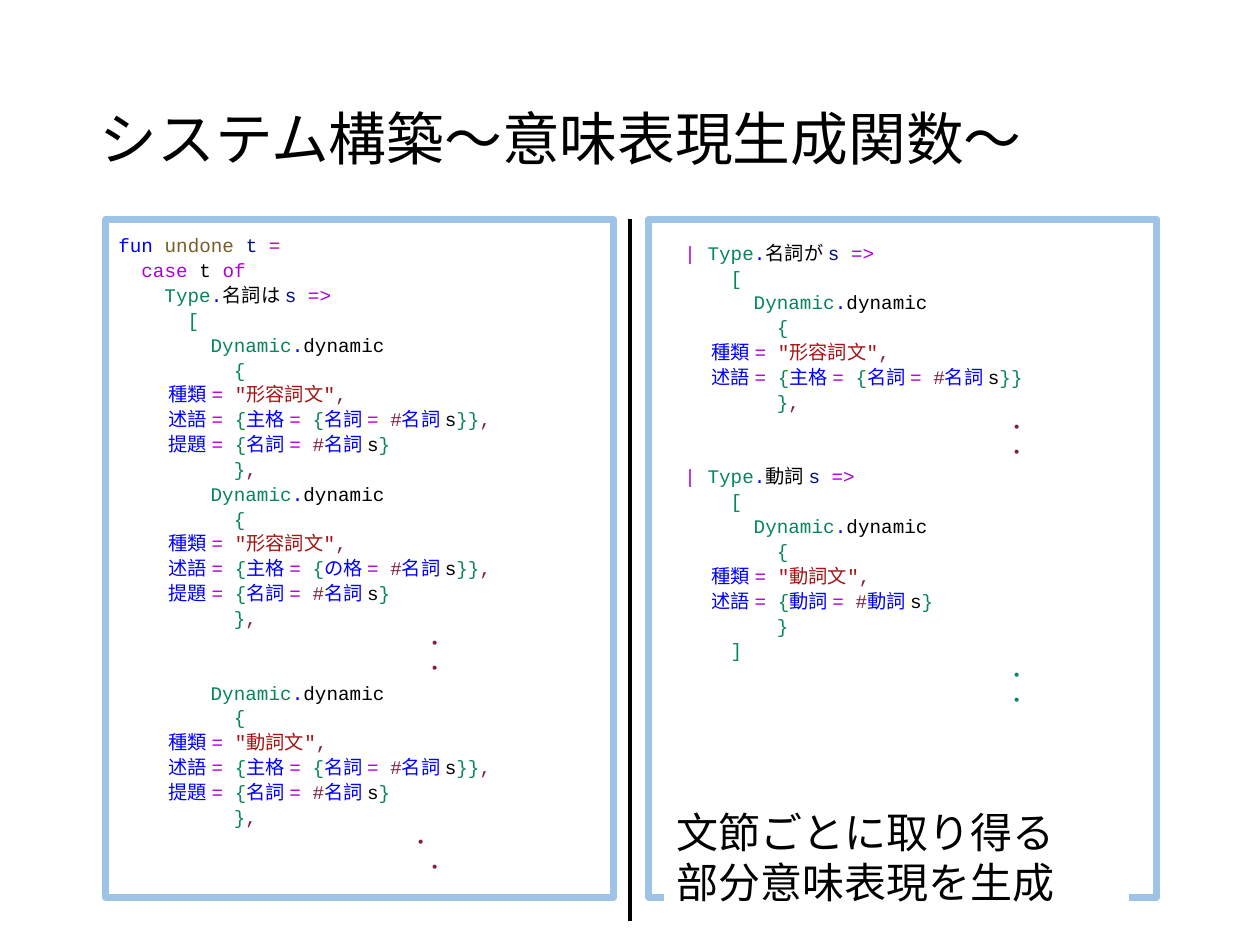
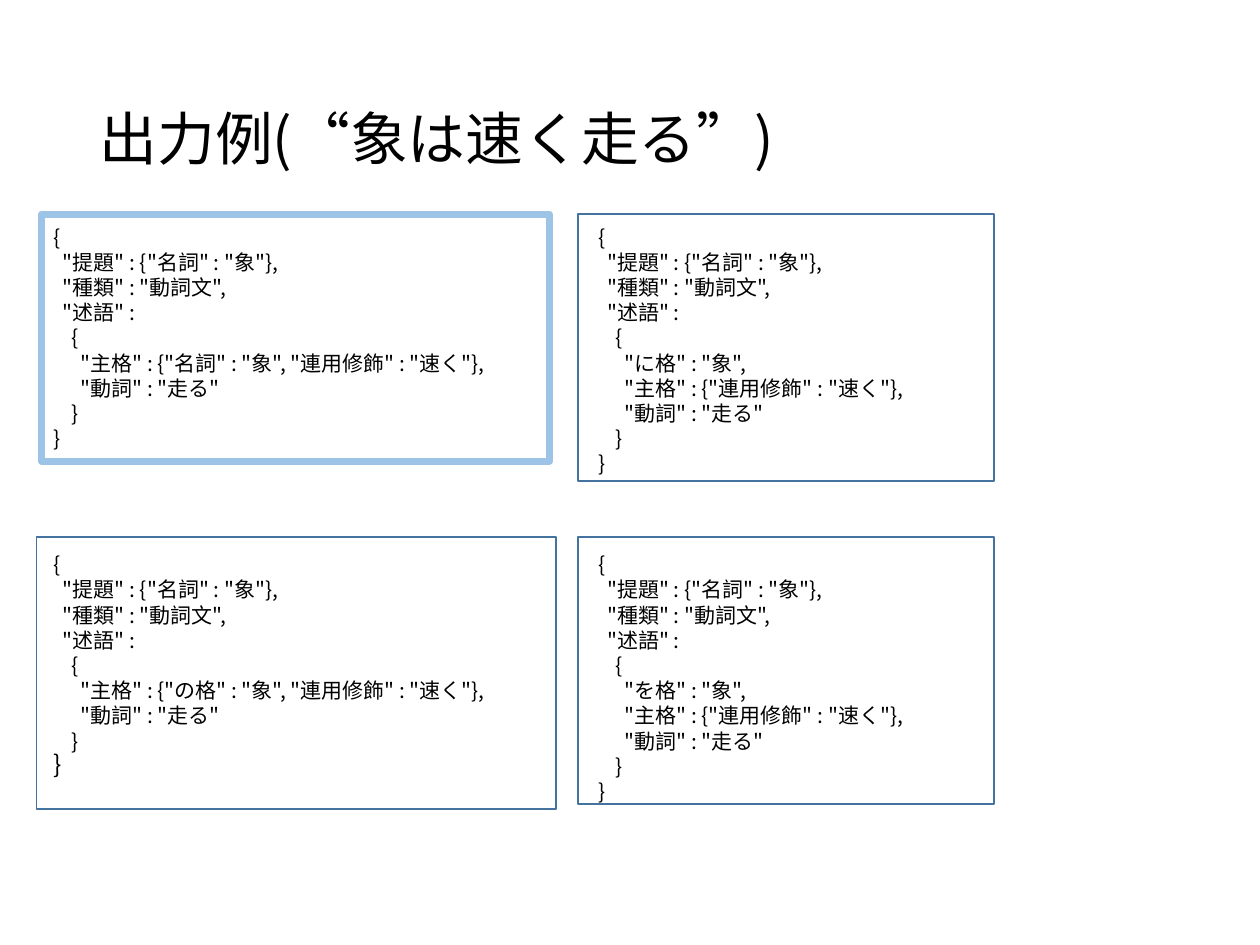
from dataclasses import dataclass

from lxml import etree
from pptx import Presentation
from pptx.dml.color import RGBColor
from pptx.enum.shapes import MSO_CONNECTOR, MSO_SHAPE
from pptx.enum.text import MSO_ANCHOR, MSO_AUTO_SIZE, PP_ALIGN
from pptx.oxml.ns import qn
from pptx.util import Inches, Pt

RECTANGLE = MSO_SHAPE.RECTANGLE
STRAIGHT = MSO_CONNECTOR.STRAIGHT
TOP, MIDDLE = MSO_ANCHOR.TOP, MSO_ANCHOR.MIDDLE
LEFT = PP_ALIGN.LEFT
NO_AUTOFIT = MSO_AUTO_SIZE.NONE
TITLE_ONLY_LAYOUT = 5


@dataclass(frozen=True)
class Theme:
    font: str = "Noto Sans CJK JP"
    code_font: str = "Courier New"
    title_size: float = 33
    caption_size: float = 24
    json_size: float = 12
    code_size: float = 11
    code_pitch: float = 14.2
    line_pitch: float = 1.2
    text: str = "000000"
    paper: str = "FFFFFF"
    highlight: str = "9DC3E6"
    outline: str = "43739E"
    keyword: str = "0000FF"
    function: str = "795E26"
    variable: str = "001080"
    operator: str = "AF00DB"
    type: str = "098658"
    string: str = "A31515"
    mark: str = "811F3F"


THEME = Theme()


# Source code vocabulary: a line is (indent in inches, [(theme colour, text), ...])
COLUMN = 0.0917
FIELD_INDENT = 0.4


def columns(count, *tokens):
    return count * COLUMN, list(tokens)


def dots(*indents, colour="mark"):
    return [(indent, [(colour, "・")]) for indent in indents]


def branch(indent, label, *lead):
    return columns(indent, *lead, ("type", "Type"), ("keyword", "."), ("text", label),
                   ("variable", "s "), ("operator", "=>"))


def assign(name):
    return [("keyword", name + " "), ("operator", "= ")]


def pick(name, source, closing):
    """A record such as {name = #source s}."""
    return [("type", "{"), *assign(name), ("mark", "#"), ("keyword", source),
            ("text", " s"), ("type", closing)]


def subject(name):
    return [("type", "{"), *assign("主格"), *pick(name, "名詞", "}}")]


def dynamic(kind, predicate, has_topic=False, comma=True):
    """One Dynamic.dynamic { ... } record."""
    end = [("mark", ",")]
    lines = [
        columns(8, ("type", "Dynamic"), ("keyword", "."), ("text", "dynamic")),
        columns(10, ("type", "{")),
        (FIELD_INDENT, assign("種類") + [("string", f'"{kind}"')] + end),
        (FIELD_INDENT, assign("述語") + predicate + (end if has_topic else [])),
    ]
    if has_topic:
        lines.append((FIELD_INDENT, assign("提題") + pick("名詞", "名詞", "}")))
    lines.append(columns(10, ("type", "}"), *(end if comma else [])))
    return lines


# Slide 1 content
FUNCTION_TITLE = "システム構築～意味表現生成関数～"
CAPTION = ["文節ごとに取り得る", "部分意味表現を生成"]
OPEN_LIST = columns(6, ("type", "["))
BAR = ("operator", "| ")
LEFT_CODE = [
    columns(0, ("keyword", "fun "), ("function", "undone "), ("variable", "t "),
            ("operator", "=")),
    columns(2, ("operator", "case"), ("text", " t "), ("operator", "of")),
    branch(4, "名詞は "),
    OPEN_LIST,
    *dynamic("形容詞文", subject("名詞"), has_topic=True),
    *dynamic("形容詞文", subject("の格"), has_topic=True),
    *dots(2.44, 2.44),
    *dynamic("動詞文", subject("名詞"), has_topic=True),
    *dots(2.33, 2.44),
]
RIGHT_CODE = [
    branch(2, "名詞が ", BAR),
    OPEN_LIST,
    *dynamic("形容詞文", subject("名詞")),
    *dots(2.75, 2.75),
    branch(2, "動詞 ", BAR),
    OPEN_LIST,
    *dynamic("動詞文", pick("動詞", "動詞", "}"), comma=False),
    columns(6, ("type", "]")),
    *dots(2.75, 2.75, colour="type"),
]
FRAME_TOP, FRAME_WIDTH, FRAME_HEIGHT = 1.74, 4.03, 5.38
CODE_PANES = [  # frame left, text top, lines
    (0.84, 1.79, LEFT_CODE),
    (5.15, 1.85, RIGHT_CODE),
]

# Slide 2 content
OUTPUT_TITLE = "出力例(“象は速く走る”)"
LEVEL_INDENT = 0.07
ROW_PITCH = 2.6
TEXT_LEFTS, TEXT_TOP = (0.33, 4.65), 1.73
OUTPUTS = [  # row, column, box, highlighted, distinctive lines, last brace size
    (0, 0, (0.33, 1.7, 4.03, 1.96), True,
     ['"主格" : {"名詞" : "象", "連用修飾" : "速く"},'], 12),
    (0, 1, (4.59, 1.7, 3.3, 2.12), False,
     ['"に格" : "象",', '"主格" : {"連用修飾" : "速く"},'], 12),
    (1, 0, (0.29, 4.26, 4.12, 2.16), False,
     ['"主格" : {"の格" : "象", "連用修飾" : "速く"},'], 14),
    (1, 1, (4.59, 4.26, 3.3, 2.12), False,
     ['"を格" : "象",', '"主格" : {"連用修飾" : "速く"},'], 12),
]


def output_lines(arguments):
    """(level, text) pairs of one result record."""
    return [
        (0, "{"),
        (1, '"提題" : {"名詞" : "象"},'),
        (1, '"種類" : "動詞文",'),
        (1, '"述語" :'),
        (2, "{"),
        *[(3, argument) for argument in arguments],
        (3, '"動詞" : "走る"'),
        (2, "}"),
        (0, "}"),
    ]


# Shared drawing helpers
def colour(value):
    return RGBColor.from_string(value)


def format_run(run, size, value=THEME.text, font=THEME.font):
    run.font.name = font
    run.font.size = Pt(size)
    run.font.color.rgb = colour(value)
    east_asian = etree.SubElement(run._r.get_or_add_rPr(), qn("a:ea"))
    east_asian.set("typeface", THEME.font)


def add_lines(text_frame, lines, size, pitch, font=THEME.font):
    """Write (indent, [(theme colour, text), ...]) lines, one paragraph each."""
    text_frame.word_wrap = True
    text_frame.vertical_anchor = TOP
    for index, (indent, tokens) in enumerate(lines):
        paragraph = text_frame.paragraphs[0] if index == 0 else text_frame.add_paragraph()
        paragraph.alignment = LEFT
        paragraph.line_spacing = Pt(pitch)
        if indent:
            properties = paragraph._p.get_or_add_pPr()
            properties.set("marL", str(int(Inches(indent))))
            properties.set("indent", "0")
        for name, text in tokens:
            run = paragraph.add_run()
            run.text = text
            format_run(run, size, getattr(THEME, name), font)


def add_text(slide, box, lines, size, pitch, font=THEME.font):
    text_box = slide.shapes.add_textbox(*map(Inches, box))
    add_lines(text_box.text_frame, lines, size, pitch, font)
    return text_box


def add_box(slide, box, fill=None, line=None, width=1):
    shape = slide.shapes.add_shape(RECTANGLE, *map(Inches, box))
    shape.shadow.inherit = False
    if fill:
        shape.fill.solid()
        shape.fill.fore_color.rgb = colour(fill)
    else:
        shape.fill.background()
    if line:
        shape.line.color.rgb = colour(line)
        shape.line.width = Pt(width)
    else:
        shape.line.fill.background()
    return shape


def add_highlight(slide, box):
    return add_box(slide, box, line=THEME.highlight, width=4)


def add_titled_slide(presentation, text):
    slide = presentation.slides.add_slide(presentation.slide_layouts[TITLE_ONLY_LAYOUT])
    title = slide.shapes.title
    title.left, title.top, title.width, title.height = map(Inches, (0.69, 0.4, 8.62, 1.45))
    frame = title.text_frame
    frame.text = text
    frame.auto_size = NO_AUTOFIT
    frame.vertical_anchor = MIDDLE
    paragraph = frame.paragraphs[0]
    paragraph.alignment = LEFT
    paragraph.line_spacing = 0.9
    format_run(paragraph.runs[0], THEME.title_size)
    return slide


# Slides
def build_function_slide(presentation):
    slide = add_titled_slide(presentation, FUNCTION_TITLE)
    for left, text_top, lines in CODE_PANES:
        add_highlight(slide, (left, FRAME_TOP, FRAME_WIDTH, FRAME_HEIGHT))
        height = len(lines) * THEME.code_pitch / 72 + 0.1
        add_text(slide, (left, text_top, 4.15, height), lines,
                 THEME.code_size, THEME.code_pitch, THEME.code_font)

    divider = slide.shapes.add_connector(
        STRAIGHT, Inches(5), Inches(FRAME_TOP), Inches(5), Inches(7.31))
    divider.line.color.rgb = colour(THEME.text)
    divider.line.width = Pt(2.25)
    etree.SubElement(divider._element.spPr, qn("a:effectLst"))

    caption = add_box(slide, (5.27, 6.35, 3.69, 0.91), fill=THEME.paper)
    add_lines(caption.text_frame, [(0, [("text", text)]) for text in CAPTION],
              THEME.caption_size, THEME.caption_size * THEME.line_pitch)


def build_output_slide(presentation):
    slide = add_titled_slide(presentation, OUTPUT_TITLE)
    pitch = THEME.json_size * THEME.line_pitch
    for row, column, box, highlighted, arguments, last_size in OUTPUTS:
        if highlighted:
            add_highlight(slide, box)
        else:
            add_box(slide, box, fill=THEME.paper, line=THEME.outline)
        lines = [(level * LEVEL_INDENT, [("text", text)])
                 for level, text in output_lines(arguments)]
        text_box = add_text(
            slide, (TEXT_LEFTS[column], TEXT_TOP + row * ROW_PITCH, 4.31,
                    len(lines) * pitch / 72 + 0.1), lines, THEME.json_size, pitch)
        text_box.text_frame.paragraphs[-1].runs[0].font.size = Pt(last_size)


def main():
    presentation = Presentation()
    presentation.slide_width, presentation.slide_height = Inches(10), Inches(7.5)
    build_function_slide(presentation)
    build_output_slide(presentation)
    presentation.save("out.pptx")


if __name__ == "__main__":
    main()
